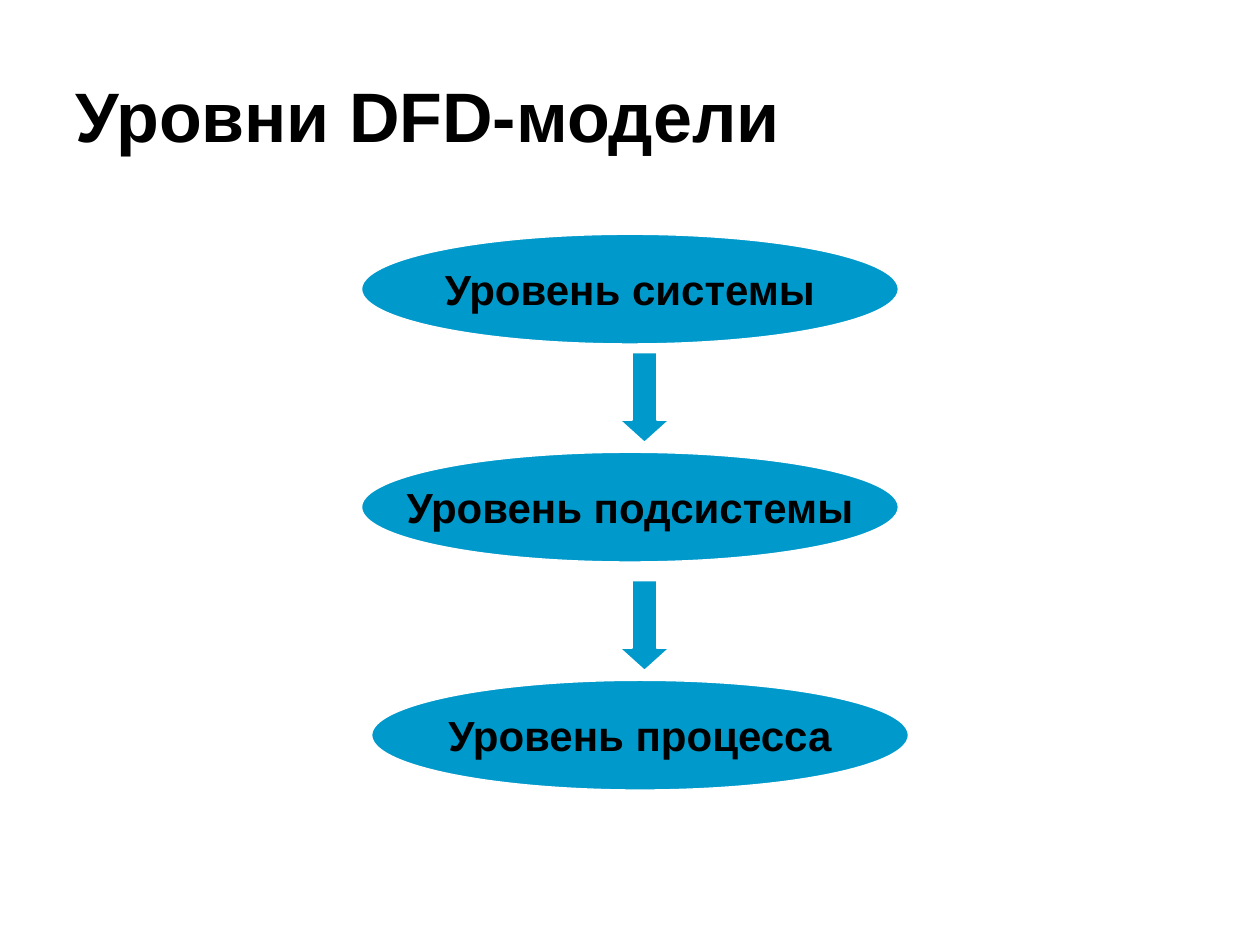
from pptx import Presentation
from pptx.dml.color import RGBColor
from pptx.enum.shapes import MSO_SHAPE
from pptx.enum.text import MSO_ANCHOR, PP_ALIGN
from pptx.util import Inches, Pt

OVAL, DOWN_ARROW = MSO_SHAPE.OVAL, MSO_SHAPE.DOWN_ARROW
MIDDLE = MSO_ANCHOR.MIDDLE
LEFT, CENTER = PP_ALIGN.LEFT, PP_ALIGN.CENTER

BLACK = RGBColor(0, 0, 0)
WHITE = RGBColor(255, 255, 255)
BLUE = RGBColor(0, 153, 204)
FONT = "Arial"

TITLE = "Уровни DFD-модели"
# Label, left and top of each level, in inches
LEVELS = [
    ("Уровень системы", 2.87, 1.86),
    ("Уровень подсистемы", 2.87, 3.59),
    ("Уровень процесса", 2.95, 5.4),
]

SLIDE_W, SLIDE_H = 10, 7.5
MARGIN = 0.05 * SLIDE_W
LEVEL_W, LEVEL_H = 4.26, 0.87
ARROW_W, ARROW_H = 0.39, 0.71
ARROW_LEFT = 4.92
ARROW_GAP = 0.08  # between an arrow's tip and the level below it


def write(frame, text, size, align):
    frame.vertical_anchor = MIDDLE
    paragraph = frame.paragraphs[0]
    paragraph.alignment = align
    run = paragraph.add_run()
    run.text = text
    run.font.name = FONT
    run.font.size = Pt(size)
    run.font.bold = True
    run.font.color.rgb = BLACK


def add_blue_shape(slide, kind, *box):
    shape = slide.shapes.add_shape(kind, *map(Inches, box))
    shape.shadow.inherit = False
    shape.fill.solid()
    shape.fill.fore_color.rgb = BLUE
    shape.line.color.rgb = WHITE
    shape.line.width = Pt(0.75)
    return shape


def main():
    deck = Presentation()
    deck.slide_width, deck.slide_height = Inches(SLIDE_W), Inches(SLIDE_H)
    slide = deck.slides.add_slide(deck.slide_layouts[5])
    slide.background.fill.solid()
    slide.background.fill.fore_color.rgb = WHITE

    title = slide.shapes.title
    title.left, title.top = Inches(MARGIN), Inches(MARGIN)
    title.width, title.height = Inches(SLIDE_W - 2 * MARGIN), Inches(0.81)
    write(title.text_frame, TITLE, 40, LEFT)

    for index, (label, left, top) in enumerate(LEVELS):
        level = add_blue_shape(slide, OVAL, left, top, LEVEL_W, LEVEL_H)
        level.text_frame.word_wrap = False
        write(level.text_frame, label, 24, CENTER)
        if index:
            arrow_top = top - ARROW_GAP - ARROW_H
            arrow = add_blue_shape(slide, DOWN_ARROW, ARROW_LEFT, arrow_top, ARROW_W, ARROW_H)
            arrow.adjustments[0] = 0.5
            arrow.adjustments[1] = 0.45

    deck.save("out.pptx")


if __name__ == "__main__":
    main()
